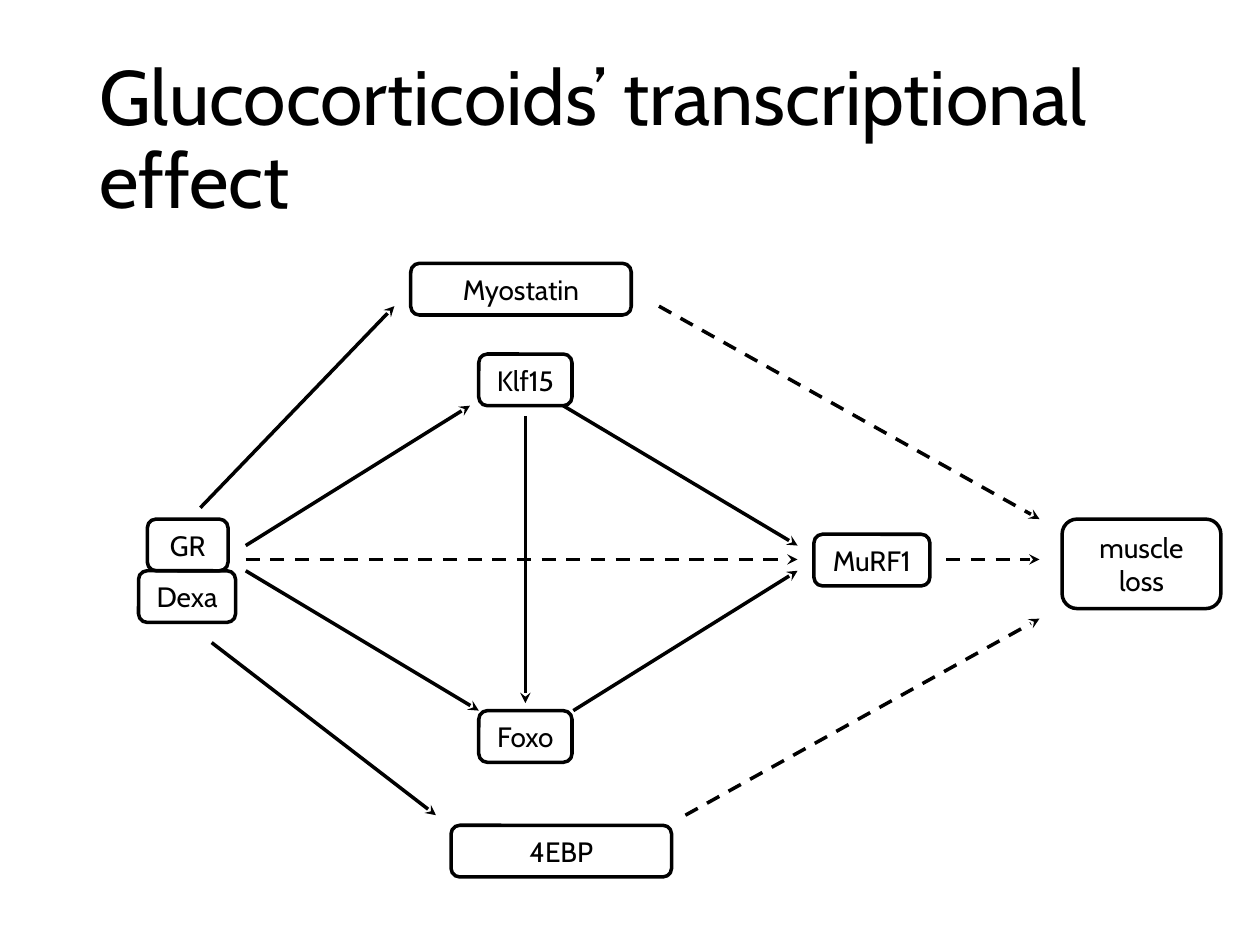
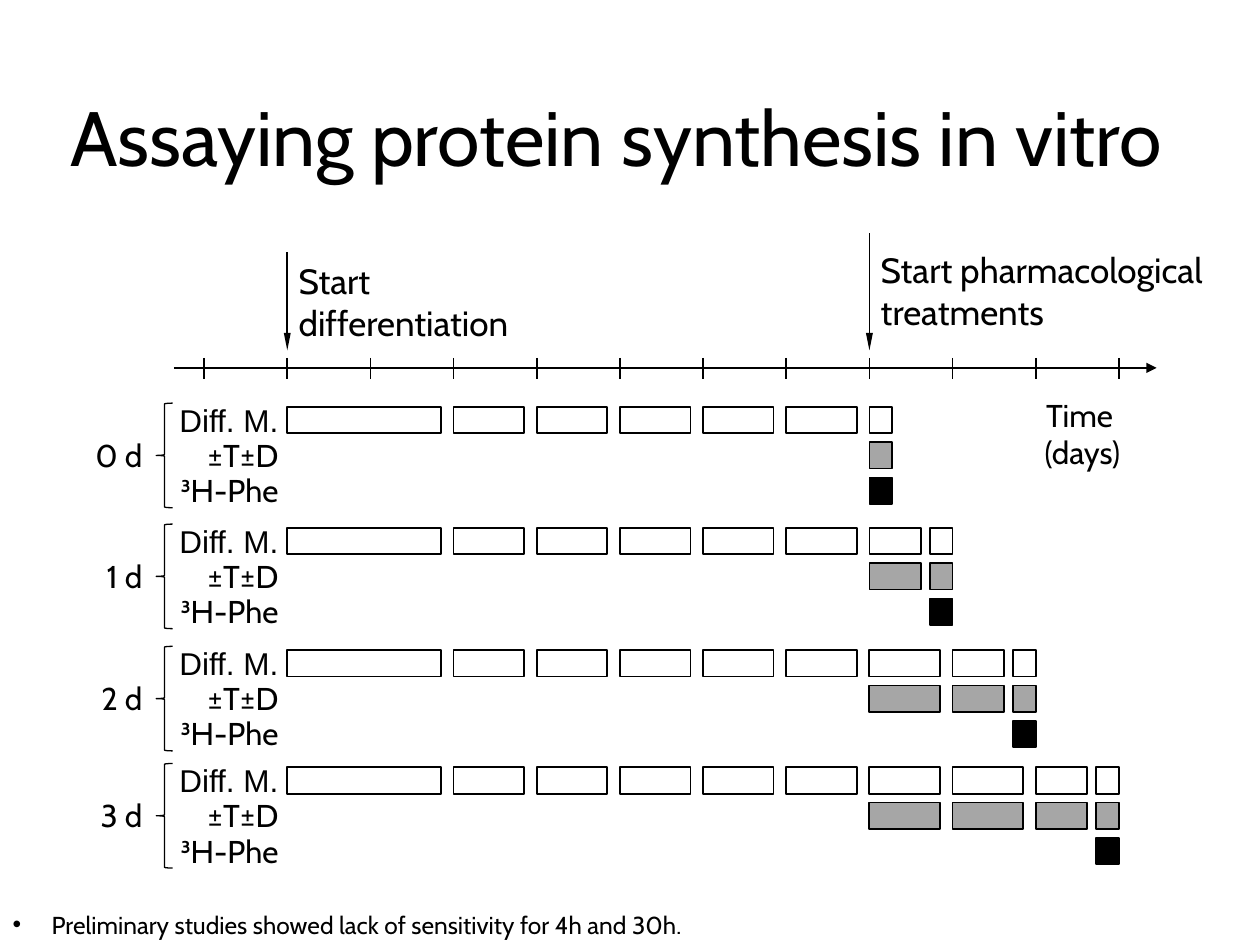
from lxml.etree import SubElement
from pptx import Presentation
from pptx.dml.color import RGBColor
from pptx.enum.dml import MSO_LINE
from pptx.enum.shapes import MSO_CONNECTOR, MSO_SHAPE
from pptx.enum.text import MSO_ANCHOR, MSO_AUTO_SIZE, PP_ALIGN
from pptx.oxml.ns import qn
from pptx.util import Inches, Pt

BLACK = RGBColor(0x00, 0x00, 0x00)
WHITE = RGBColor(0xFF, 0xFF, 0xFF)
GREY = RGBColor(0xA6, 0xA6, 0xA6)
FONT = "Cabin"
LABEL_FONT = "Arial"

# Time axis of the assay slide, in inches
FIRST_TICK, DAY, TICKS = 1.62, 0.66, 12
AXIS_Y = 2.92
ROW_STEP, BAR_HEIGHT = 0.28, 0.21
FULL_BAR, LAST_BAR, PULSE = 0.56, 0.41, 0.18


def day_x(tick):
    return FIRST_TICK + DAY * tick


def place(shape, left, top, width, height):
    shape.left, shape.top = Inches(left), Inches(top)
    shape.width, shape.height = Inches(width), Inches(height)


def write(frame, text, size, align=PP_ALIGN.LEFT, font=FONT):
    frame.text = text
    for paragraph in frame.paragraphs:
        paragraph.alignment = align
        paragraph.font.size = Pt(size)
        paragraph.font.name = font
        paragraph.font.color.rgb = BLACK


def add_title(slide, text, left, width):
    title = slide.shapes.title
    place(title, left, 0.4, width, 1.45)
    frame = title.text_frame
    frame.auto_size = MSO_AUTO_SIZE.NONE
    frame.vertical_anchor = MSO_ANCHOR.MIDDLE
    write(frame, text, 44)
    frame.paragraphs[0].line_spacing = 0.9


def add_footnote(slide, text):
    footnote = slide.placeholders[1]
    place(footnote, 0, 7.17, 10, 0.34)
    frame = footnote.text_frame
    frame.auto_size = MSO_AUTO_SIZE.NONE
    write(frame, text, 14)
    paragraph = frame.paragraphs[0]
    paragraph.space_before = Pt(0)
    properties = paragraph._p.get_or_add_pPr()
    properties.set("marL", str(Inches(0.31)))
    properties.set("indent", str(Inches(-0.31)))


def add_text(slide, text, box, size, align=PP_ALIGN.LEFT, anchor=MSO_ANCHOR.BOTTOM,
             font=FONT, inset=0):
    frame = slide.shapes.add_textbox(*map(Inches, box)).text_frame
    frame.word_wrap = True
    frame.vertical_anchor = anchor
    frame.margin_left = Inches(inset)
    frame.margin_top = frame.margin_right = frame.margin_bottom = 0
    write(frame, text, size, align, font)


def add_outline(slide, preset, box, line_width, fill=None):
    shape = slide.shapes.add_shape(preset, *map(Inches, box))
    shape.shadow.inherit = False
    if fill is None:
        shape.fill.background()
    else:
        shape.fill.solid()
        shape.fill.fore_color.rgb = fill
    shape.line.color.rgb = BLACK
    shape.line.width = Pt(line_width)
    return shape


def add_line(slide, start, end, width, head=None, head_size=("med", "med"), dashed=False):
    line = slide.shapes.add_connector(MSO_CONNECTOR.STRAIGHT, *map(Inches, start + end))
    line.line.color.rgb = BLACK
    line.line.width = Pt(width)
    if dashed:
        line.line.dash_style = MSO_LINE.DASH
    if head:
        head_width, head_length = head_size
        SubElement(line.line._get_or_add_ln(), qn("a:tailEnd"),
                   type=head, w=head_width, len=head_length)
    SubElement(line._element.spPr, qn("a:effectLst"))


def add_factor(slide, text, left, top, width, height=0.41):
    factor = add_outline(slide, MSO_SHAPE.ROUNDED_RECTANGLE, (left, top, width, height), 2)
    factor.text_frame.vertical_anchor = MSO_ANCHOR.MIDDLE
    write(factor.text_frame, text, 16, PP_ALIGN.CENTER)


def add_bar(slide, left, top, width, fill):
    add_outline(slide, MSO_SHAPE.RECTANGLE, (left, top, width, BAR_HEIGHT), 1, fill)


def add_time_axis(slide):
    add_line(slide, (1.38, AXIS_Y), (9.18, AXIS_Y), 1, "triangle")
    for tick in range(TICKS):
        add_line(slide, (day_x(tick), 2.84), (day_x(tick), 3.01), 1)
    add_text(slide, "Time \n(days)", (6.38, 3.5, 2.51, 0.24), 18, PP_ALIGN.RIGHT)


def add_event(slide, text, tick, arrow_top, text_top, text_width):
    x = day_x(tick)
    add_line(slide, (x, arrow_top), (x, 2.78), 1, "triangle", ("sm", "lg"))
    add_text(slide, text, (x + 0.09, text_top, text_width, 0.7), 20)


def add_protocol(slide, days, top):
    """Draw the medium, treatment and label rows of one treatment length."""
    row_tops = [top + ROW_STEP * row for row in range(3)]

    # Row labels, bracket and treatment length
    row_labels = (("Diff. M.", LABEL_FONT), ("±T±D", FONT), ("³H-Phe", FONT))
    for (label, font), row_top in zip(row_labels, row_tops):
        add_text(slide, label, (0.57, row_top - 0.06, 1.64, 0.32), 18,
                 PP_ALIGN.RIGHT, MSO_ANCHOR.MIDDLE, font, 0.05)
    brace = add_outline(slide, MSO_SHAPE.LEFT_BRACE, (1.24, top - 0.03, 0.13, 0.83), 0.75)
    brace.adjustments[0], brace.adjustments[1] = 0.05, 0.5
    add_text(slide, f"{days} d", (0.24, row_tops[1] - 0.06, 0.89, 0.32), 18,
             PP_ALIGN.RIGHT, MSO_ANCHOR.MIDDLE, inset=0.05)

    # Differentiation
    add_bar(slide, day_x(1), top, 1.22, WHITE)
    for tick in range(3, 8):
        add_bar(slide, day_x(tick), top, FULL_BAR, WHITE)

    # Treatment: full days, a shorter last day, then the labelling pulse
    periods = [(day_x(8 + day), FULL_BAR if day < days - 1 else LAST_BAR)
               for day in range(days)]
    pulse_left = day_x(8 + days) - PULSE if days else day_x(8)
    periods.append((pulse_left, PULSE))
    for left, width in periods:
        add_bar(slide, left, row_tops[0], width, WHITE)
        add_bar(slide, left, row_tops[1], width, GREY)
    add_bar(slide, pulse_left, row_tops[2], PULSE, BLACK)


def build_pathway(deck):
    slide = deck.slides.add_slide(deck.slide_layouts[5])
    add_title(slide, "Glucocorticoids’ transcriptional effect", 0.69, 8.62)

    # Factors: text, left, top, width
    for factor in (
        ("GR", 1.17, 4.12, 0.64),
        ("Dexa", 1.1, 4.53, 0.77),
        ("Foxo", 3.8, 5.64, 0.74),
        ("MuRF1", 6.46, 4.24, 0.92),
        ("Klf15", 3.8, 2.81, 0.74),
        ("Myostatin", 3.26, 2.09, 1.75),
        ("4EBP", 3.58, 6.55, 1.75),
        ("muscle\nloss", 8.43, 4.12, 1.26, 0.71),
    ):
        add_factor(slide, *factor)

    # Transcriptional effects
    for start, end in (
        ((1.95, 4.53), (3.8, 5.64)),
        ((4.55, 5.64), (6.33, 4.53)),
        ((1.95, 4.33), (3.73, 3.22)),
        ((4.47, 3.22), (6.33, 4.33)),
        ((4.17, 3.3), (4.17, 5.58)),
        ((1.59, 4.03), (3.13, 2.43)),
        ((1.68, 5.1), (3.46, 6.47)),
    ):
        add_line(slide, start, end, 2, "stealth")

    # Indirect effects
    for start, end in (
        ((1.95, 4.44), (6.33, 4.44)),
        ((7.51, 4.44), (8.25, 4.44)),
        ((5.23, 2.43), (8.25, 4.12)),
        ((5.44, 6.47), (8.25, 4.91)),
    ):
        add_line(slide, start, end, 2, "stealth", dashed=True)


def build_assay(deck):
    slide = deck.slides.add_slide(deck.slide_layouts[1])
    add_title(slide, "Assaying protein synthesis in vitro", 0.46, 9.07)
    add_time_axis(slide)
    add_event(slide, "Start differentiation", 1, 2, 2.03, 1.68)
    add_event(slide, "Start pharmacological treatments", 8, 1.85, 1.94, 2.77)
    for days, top in enumerate((3.23, 4.19, 5.16, 6.09)):
        add_protocol(slide, days, top)
    add_footnote(slide, "Preliminary studies showed lack of sensitivity for 4h and 30h.")


def main():
    deck = Presentation()
    deck.slide_width, deck.slide_height = Inches(10), Inches(7.5)
    build_pathway(deck)
    build_assay(deck)
    deck.save("out.pptx")


if __name__ == "__main__":
    main()
